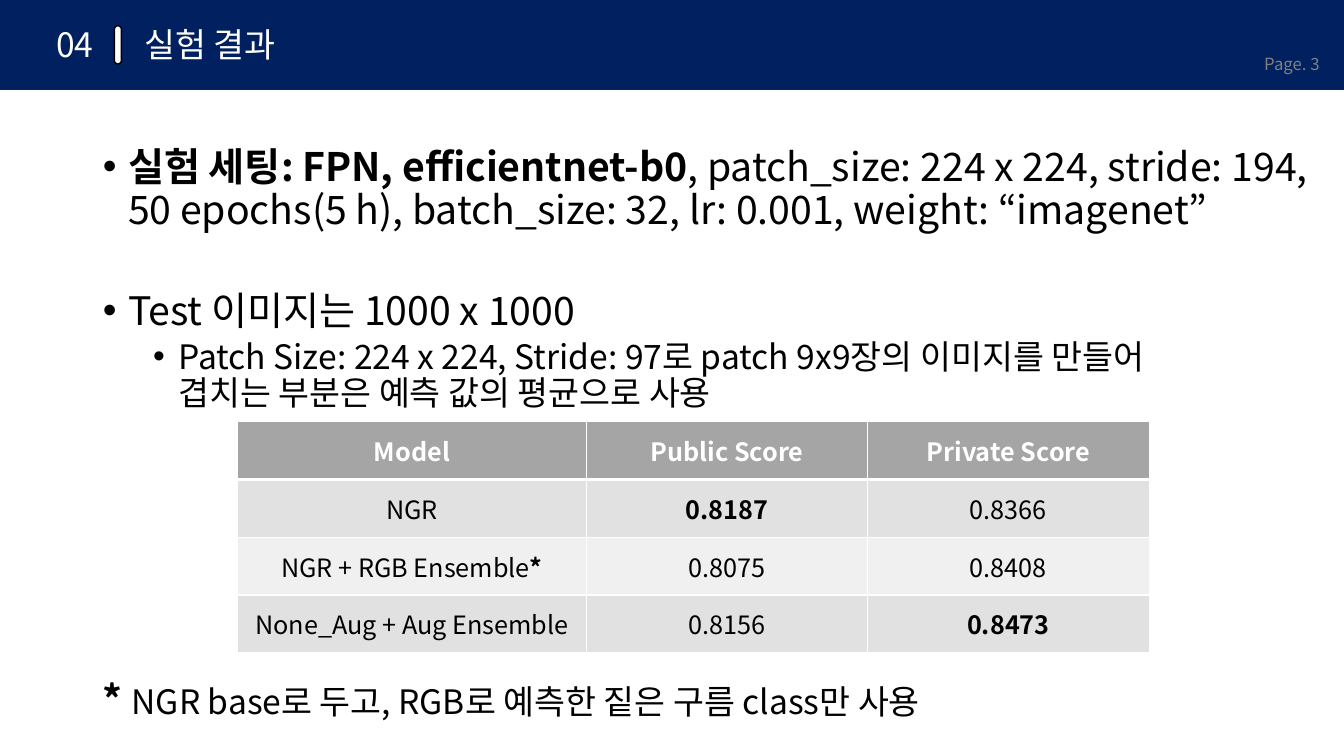
from lxml.etree import SubElement
from pptx import Presentation
from pptx.dml.color import RGBColor
from pptx.enum.shapes import MSO_SHAPE
from pptx.enum.text import MSO_ANCHOR, MSO_AUTO_SIZE, PP_ALIGN
from pptx.oxml.ns import qn
from pptx.util import Inches, Pt

NAVY = RGBColor(0x00, 0x20, 0x60)
WHITE = RGBColor(0xFF, 0xFF, 0xFF)
BLACK = RGBColor(0x00, 0x00, 0x00)
GRAY = RGBColor(0x80, 0x80, 0x80)
HEADER_GRAY = RGBColor(0xA5, 0xA5, 0xA5)
BAND_DARK = RGBColor(0xE1, 0xE1, 0xE1)
BAND_LIGHT = RGBColor(0xF0, 0xF0, 0xF0)

FONT = "Noto Sans CJK KR"
COLUMNS, ROWS = 160, 90

SCORES = [
    ("Model", "Public Score", "Private Score"),
    ("NGR", "0.8187", "0.8366"),
    ("NGR + RGB Ensemble", "0.8075", "0.8408"),
    ("None_Aug + Aug Ensemble", "0.8156", "0.8473"),
]
BEST_SCORES = {"0.8187", "0.8473"}
FOOTNOTED_MODEL = "NGR + RGB Ensemble"


def write(paragraph, text, size=24, color=BLACK, bold=False):
    """Append text to a paragraph; a newline becomes a line break."""
    for number, line in enumerate(text.split("\n")):
        if number:
            paragraph.add_line_break()
        run = paragraph.add_run()
        run.text = line
        run.font.name = FONT
        run.font.size = Pt(size)
        run.font.bold = bold
        run.font.color.rgb = color
        SubElement(run.font._element, qn("a:ea"), typeface=FONT)


def set_bullet(paragraph, margin, char=None):
    """Set the hanging indent in inches; without a char the bullet is off."""
    properties = paragraph._p.get_or_add_pPr()
    properties.set("marL", str(Inches(margin)))
    properties.set("indent", str(Inches(-0.25 if char else 0)))
    if char:
        SubElement(properties, qn("a:buFont"), typeface="Arial")
        SubElement(properties, qn("a:buChar"), char=char)
    else:
        SubElement(properties, qn("a:buNone"))


def set_borders(cell, **widths):
    properties = cell._tc.get_or_add_tcPr()
    for side in "LRTB":
        line = SubElement(properties, qn(f"a:ln{side}"), w=str(Pt(widths.get(side, 1))))
        fill = SubElement(line, qn("a:solidFill"))
        SubElement(fill, qn("a:srgbClr"), val=str(WHITE))


class ResultSlide:
    """Places elements on a grid of COLUMNS by ROWS."""

    def __init__(self, deck):
        self.column = deck.slide_width / COLUMNS
        self.row = deck.slide_height / ROWS
        self.slide = deck.slides.add_slide(deck.slide_layouts[1])
        self.shapes = self.slide.shapes

    def area(self, left, top, width, height):
        return (round(left * self.column), round(top * self.row),
                round(width * self.column), round(height * self.row))

    def place(self, shape, area):
        shape.left, shape.top, shape.width, shape.height = self.area(*area)

    def block(self, kind, area, fill, outline=None):
        block = self.shapes.add_shape(kind, *self.area(*area))
        block.shadow.inherit = False
        block.fill.solid()
        block.fill.fore_color.rgb = fill
        if outline is None:
            block.line.fill.background()
        else:
            block.line.color.rgb = outline
            block.line.width = Pt(1)
        return block

    def banner(self, area):
        banner = self.block(MSO_SHAPE.RECTANGLE, area, NAVY)
        self.shapes._spTree.insert(2, banner._element)

    def divider(self, area):
        divider = self.block(MSO_SHAPE.ROUNDED_RECTANGLE, area, WHITE, BLACK)
        divider.adjustments[0] = 0.5

    def one_line(self, shape, text, align, **style):
        frame = shape.text_frame
        frame.word_wrap = True
        frame.auto_size = MSO_AUTO_SIZE.NONE
        frame.vertical_anchor = MSO_ANCHOR.MIDDLE
        frame.margin_top = frame.margin_bottom = 0
        frame.paragraphs[0].alignment = align
        write(frame.paragraphs[0], text, **style)

    def title(self, text, area):
        self.place(self.shapes.title, area)
        self.one_line(self.shapes.title, text, PP_ALIGN.LEFT, color=WHITE)

    def label(self, text, area, align, **style):
        box = self.shapes.add_textbox(*self.area(*area))
        self.one_line(box, text, align, **style)

    def body(self, area):
        body = self.slide.placeholders[1]
        self.place(body, area)
        frame = body.text_frame
        frame.word_wrap = True
        frame.auto_size = MSO_AUTO_SIZE.NONE
        frame.vertical_anchor = MSO_ANCHOR.TOP
        frame.margin_top = Inches(0.08)
        return frame

    def point(self, paragraph, margin, char="•", level=0, before=0, pitch=30.7):
        paragraph.level = level
        set_bullet(paragraph, margin, char)
        paragraph.alignment = PP_ALIGN.LEFT
        paragraph.line_spacing = Pt(pitch)
        paragraph.space_before = Pt(before)
        paragraph.space_after = Pt(0)
        return paragraph

    def score_table(self, rows, area, column_widths):
        table = self.shapes.add_table(len(rows), len(rows[0]), *self.area(*area)).table
        table.horz_banding = False
        for column, width in zip(table.columns, column_widths):
            column.width = round(width * self.column)
        for r, row in enumerate(rows):
            for c, value in enumerate(row):
                self.score_cell(table.cell(r, c), value, r)

    def score_cell(self, cell, value, row):
        header = row == 0
        set_borders(cell, B=3 if header else 1, T=3 if row == 1 else 1)
        cell.fill.solid()
        band = BAND_DARK if row % 2 else BAND_LIGHT
        cell.fill.fore_color.rgb = HEADER_GRAY if header else band
        cell.vertical_anchor = MSO_ANCHOR.MIDDLE
        paragraph = cell.text_frame.paragraphs[0]
        paragraph.alignment = PP_ALIGN.CENTER
        write(paragraph, value, size=18, color=WHITE if header else BLACK,
              bold=header or value in BEST_SCORES)
        if value == FOOTNOTED_MODEL:
            write(paragraph, "*", size=18, bold=True)


def main():
    deck = Presentation()
    deck.slide_width, deck.slide_height = Inches(13.33), Inches(7.5)
    page = ResultSlide(deck)

    page.banner((0, 0, COLUMNS, 10.7))
    page.divider((13.62, 3.06, 0.84, 4.56))
    page.label("04", (4.1, 2.3, 9.6, 6), PP_ALIGN.CENTER, color=WHITE)
    page.title("실험 결과", (16, 2.3, 83.6, 6))
    page.label("Page. 3", (145.1, 5.76, 13.2, 3.6), PP_ALIGN.RIGHT, size=12, color=GRAY)

    body = page.body((11.04, 16.44, 147.84, 69.5))
    setting = page.point(body.paragraphs[0], 0.25)
    write(setting, "실험 세팅: FPN, efficientnet-b0", size=28, bold=True)
    write(setting, ", patch_size: 224 x 224, stride: 194,\n"
          "50 epochs(5 h), batch_size: 32, lr: 0.001, weight: “imagenet”", size=28)
    test = page.point(body.add_paragraph(), 0.25, before=41.5)
    write(test, "Test 이미지는 1000 x 1000", size=28)
    patches = page.point(body.add_paragraph(), 0.75, level=1, before=5, pitch=25.7)
    write(patches, "Patch Size: 224 x 224, Stride: 97로 patch 9x9장의 이미지를 만들어\n"
          "겹치는 부분은 예측 값의 평균으로 사용")
    footnote = page.point(body.add_paragraph(), 0, char=None, before=191)
    write(footnote, "* ", size=28, bold=True)
    write(footnote, "NGR base로 두고, RGB로 예측한 짙은 구름 class만 사용")

    page.score_table(SCORES, (28.3, 50.2, 108.5, 27.5), (41.5, 33.5, 33.5))
    deck.save("out.pptx")


if __name__ == "__main__":
    main()
